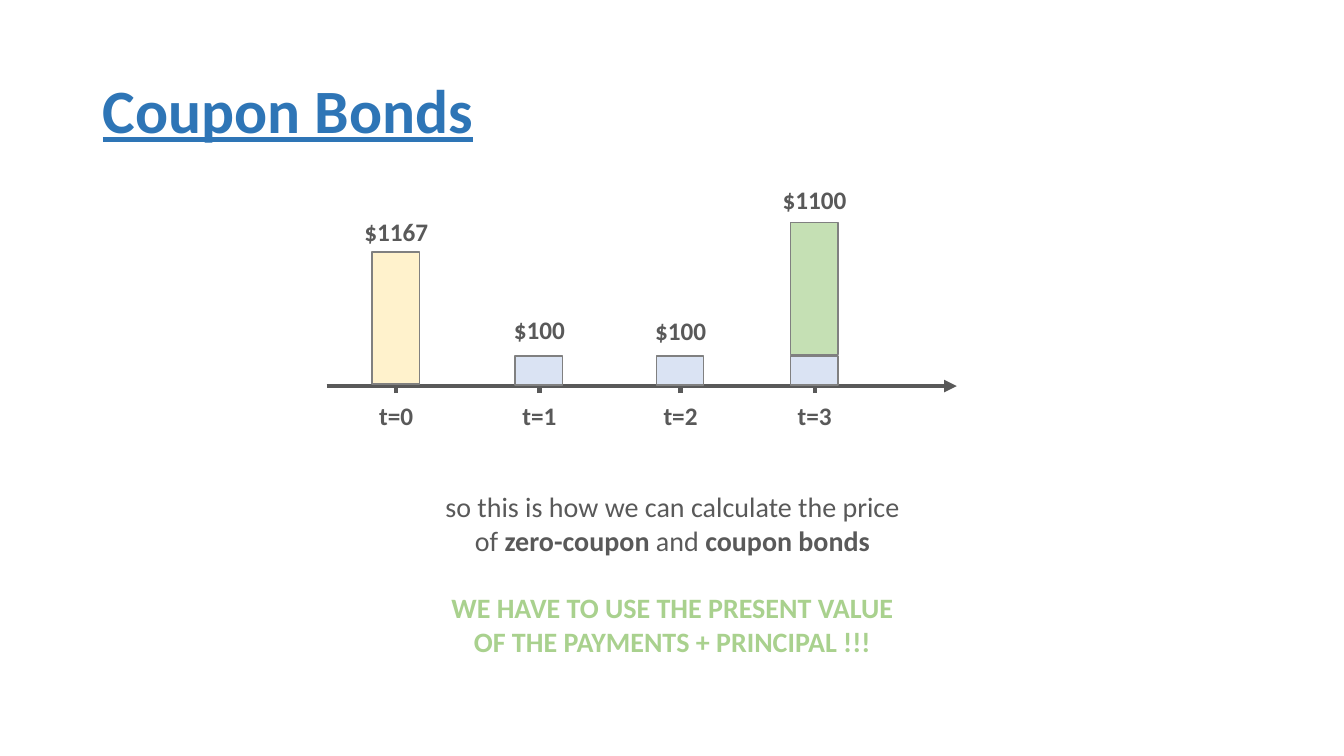
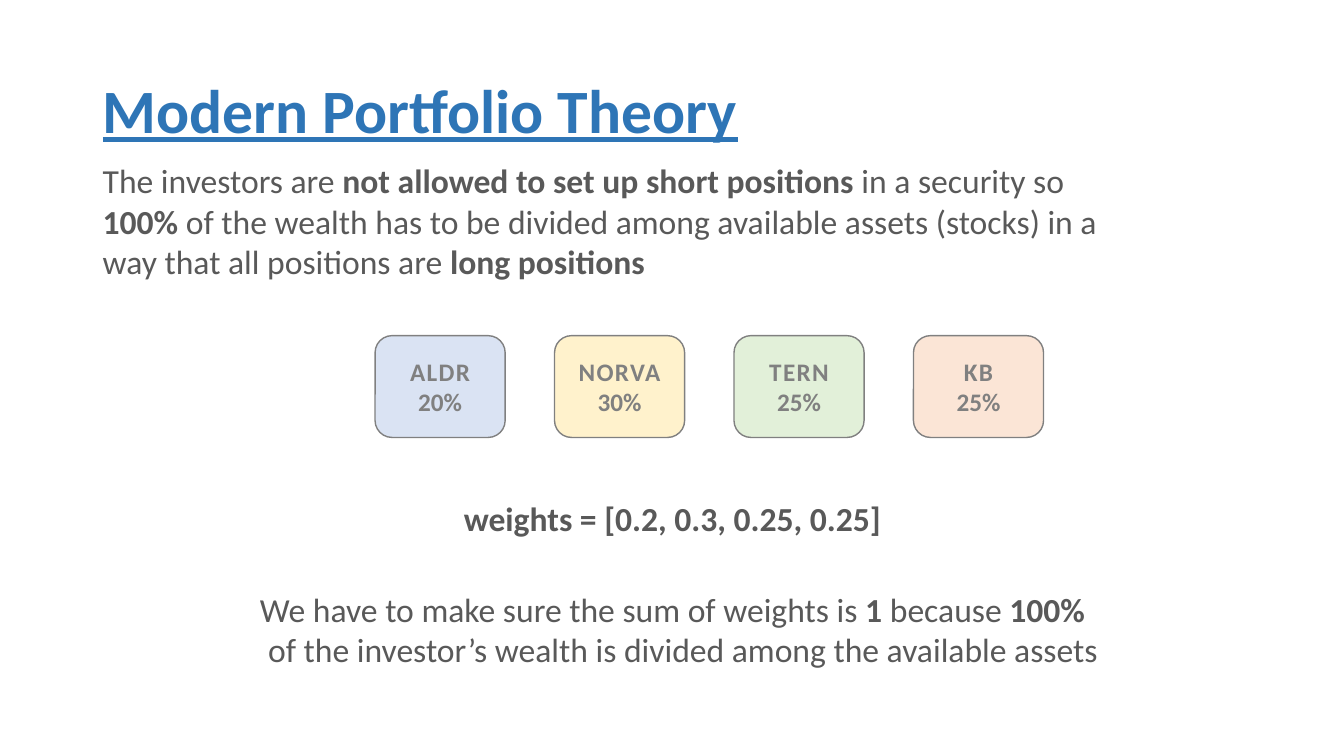
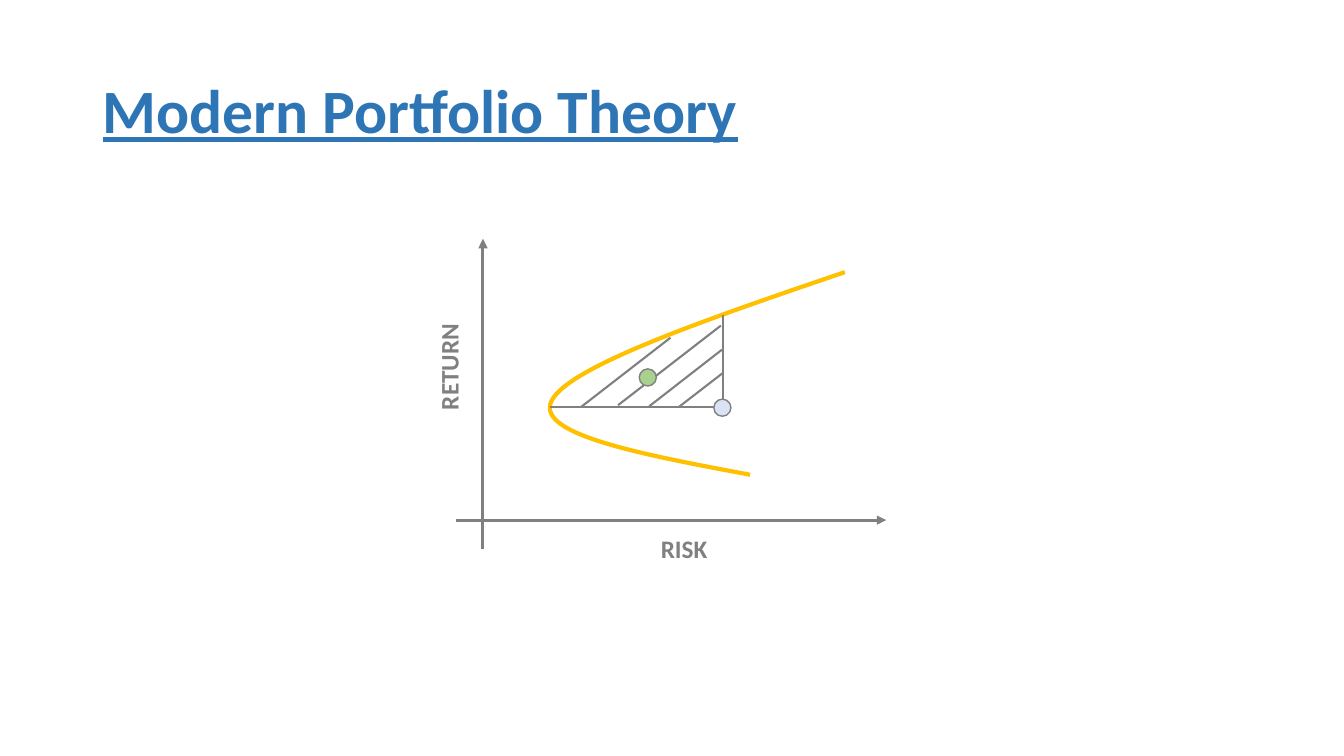
import pptx
import pptx.util
import pptx.dml.color
import pptx.enum.shapes
import pptx.enum.text
import pptx.oxml.ns
import lxml.etree

Inches = pptx.util.Inches
Pt = pptx.util.Pt
RGBColor = pptx.dml.color.RGBColor
Shape = pptx.enum.shapes.MSO_SHAPE
Align = pptx.enum.text.PP_ALIGN
Anchor = pptx.enum.text.MSO_ANCHOR
qn = pptx.oxml.ns.qn

FONT = "Calibri"
TITLE_BLUE = RGBColor(0x2E, 0x75, 0xB6)
DARK_GRAY = RGBColor(0x59, 0x59, 0x59)
GRAY = RGBColor(0x80, 0x80, 0x80)
PALE_BLUE = RGBColor(0xDA, 0xE3, 0xF3)
PALE_YELLOW = RGBColor(0xFF, 0xF2, 0xCC)
PALE_GREEN = RGBColor(0xE2, 0xF0, 0xD9)
PALE_ORANGE = RGBColor(0xFB, 0xE5, 0xD6)
LIGHT_GREEN = RGBColor(0xC5, 0xE0, 0xB4)
GREEN = RGBColor(0xA9, 0xD1, 0x8E)
GOLD = RGBColor(0xFF, 0xC0, 0x00)


def add_text(page, left, top, width, height, lines, size, color, align=Align.CENTER):
    box = page.shapes.add_textbox(Inches(left), Inches(top), Inches(width), Inches(height))
    frame = box.text_frame
    frame.word_wrap = len(lines) > 1
    for number, line in enumerate(lines):
        para = frame.add_paragraph() if number else frame.paragraphs[0]
        para.alignment = align
        para.font.name = FONT
        para.font.size = Pt(size)
        para.font.color.rgb = color
        for index, part in enumerate(line.split("**")):
            if part:
                span = para.add_run()
                span.text = part
                span.font.bold = index % 2 == 1
    return box


def add_line(page, start, end, color, weight, arrow=False):
    line = page.shapes.add_connector(
        pptx.enum.shapes.MSO_CONNECTOR.STRAIGHT, *[Inches(value) for value in start + end])
    line.line.color.rgb = color
    line.line.width = Pt(weight)
    if arrow:
        lxml.etree.SubElement(line.line._get_or_add_ln(), qn("a:tailEnd"), type="triangle")
    lxml.etree.SubElement(line._element.spPr, qn("a:effectLst"))


deck = pptx.Presentation()
deck.slide_width = Inches(13.33)
deck.slide_height = Inches(7.5)

pages = []
for heading in ["Coupon Bonds", "Modern Portfolio Theory", "Modern Portfolio Theory"]:
    page = deck.slides.add_slide(deck.slide_layouts[5])
    title = page.shapes.title
    title.left, title.top = Inches(0.92), Inches(0.4)
    title.width, title.height = Inches(11.5), Inches(1.45)
    title.text_frame.text = heading
    title.text_frame.vertical_anchor = Anchor.MIDDLE
    para = title.text_frame.paragraphs[0]
    para.alignment = Align.LEFT
    para.line_spacing = 0.9
    para.font.name = FONT
    para.font.size = Pt(44)
    para.font.bold = True
    para.font.underline = True
    para.font.color.rgb = TITLE_BLUE
    pages.append(page)
bond_page, weights_page, frontier_page = pages

add_line(bond_page, (3.24, 3.83), (9.49, 3.83), DARK_GRAY, 3, arrow=True)
coupon = (3.53, 0.29, PALE_BLUE)
payments = [
    (3.93, "$1167", 2.1, [(2.5, 1.31, PALE_YELLOW)]),
    (5.35, "$100", 3.07, [coupon]),
    (6.75, "$100", 3.08, [coupon]),
    (8.08, "$1100", 1.78, [(2.21, 1.31, LIGHT_GREEN), coupon]),
]
for year, (center, amount, amount_top, blocks) in enumerate(payments):
    add_line(bond_page, (center, 3.9), (center, 3.78), DARK_GRAY, 3)
    add_text(bond_page, center - 0.27, 3.92, 0.54, 0.4, [f"**t={year}**"], 18, DARK_GRAY)
    add_text(bond_page, center - 0.42, amount_top, 0.84, 0.4, [f"**{amount}**"], 18, DARK_GRAY)
    for top, height, fill in blocks:
        bar = bond_page.shapes.add_shape(
            Shape.RECTANGLE, Inches(center - 0.24), Inches(top), Inches(0.47), Inches(height))
        bar.shadow.inherit = False
        bar.fill.solid()
        bar.fill.fore_color.rgb = fill
        bar.line.color.rgb = GRAY
        bar.line.width = Pt(1)

summary = add_text(bond_page, 4.17, 4.81, 5, 1.8, [
    "so this is how we can calculate the price",
    "of **zero-coupon** and **coupon bonds**",
    "**WE HAVE TO USE THE PRESENT VALUE**",
    "**OF THE PAYMENTS + PRINCIPAL !!!**",
], 20, DARK_GRAY)
for para in summary.text_frame.paragraphs[2:]:
    para.font.color.rgb = GREEN
summary.text_frame.paragraphs[2].space_before = Pt(24)

add_text(weights_page, 0.92, 1.54, 10.5, 1.31, [
    "The investors are **not allowed to set up short positions** in a security so",
    "**100%** of the wealth has to be divided among available assets (stocks) in a",
    "way that all positions are **long positions**",
], 24, DARK_GRAY, Align.LEFT)
add_text(weights_page, 4.48, 4.89, 4.38, 0.5,
         ["**weights = [0.2, 0.3, 0.25, 0.25]**"], 24, DARK_GRAY)
conclusion = add_text(weights_page, 2.17, 5.79, 9, 0.91, [
    "We have to make sure the sum of weights is **1** because **100%**",
    "of the investor’s wealth is divided among the available assets",
], 24, DARK_GRAY)
conclusion.text_frame.paragraphs[1]._p.get_or_add_pPr().set("marL", str(Inches(0.21)))

stocks = [
    ("ALDR", "20%", PALE_BLUE),
    ("NORVA", "30%", PALE_YELLOW),
    ("TERN", "25%", PALE_GREEN),
    ("KB", "25%", PALE_ORANGE),
]
for column, (ticker, weight, fill) in enumerate(stocks):
    card = weights_page.shapes.add_shape(
        Shape.ROUNDED_RECTANGLE, Inches(3.72 + 1.78 * column), Inches(3.33), Inches(1.29), Inches(1.01))
    card.shadow.inherit = False
    card.fill.solid()
    card.fill.fore_color.rgb = fill
    card.line.color.rgb = GRAY
    card.line.width = Pt(1)
    card.text_frame.vertical_anchor = Anchor.MIDDLE
    card.text_frame.text = f"{ticker}\n{weight}"
    for para in card.text_frame.paragraphs:
        para.alignment = Align.CENTER
        para.font.name = FONT
        para.font.size = Pt(18)
        para.font.bold = True
        para.font.color.rgb = GRAY
    card.text_frame.paragraphs[0].runs[0]._r.get_or_add_rPr().set("spc", "100")

add_line(frontier_page, (4.79, 5.45), (4.79, 2.37), GRAY, 2.25, arrow=True)
add_line(frontier_page, (4.52, 5.16), (8.79, 5.16), GRAY, 2.25, arrow=True)
add_text(frontier_page, 6.45, 5.24, 0.67, 0.4, ["**RISK**"], 18, GRAY)
return_label = add_text(frontier_page, 3.92, 3.44, 1.06, 0.4, ["**RETURN**"], 18, GRAY)
return_label.rotation = 270

curves = [
    ((8.38, 2.7), (7, 3.17), (5.63, 3.64), (5.47, 3.98)),
    ((5.47, 3.98), (5.31, 4.31), (6.37, 4.51), (7.44, 4.71)),
]
steps = 40
points = []
for curve in curves:
    for step in range(steps + 1):
        t = step / steps
        factors = ((1 - t) ** 3, 3 * t * (1 - t) ** 2, 3 * t ** 2 * (1 - t), t ** 3)
        points.append(tuple(
            Inches(sum(factor * point[axis] for factor, point in zip(factors, curve)))
            for axis in (0, 1)))
builder = frontier_page.shapes.build_freeform(*points[0])
builder.add_line_segments(points[1:], close=False)
frontier = builder.convert_to_shape()
frontier.shadow.inherit = False
frontier.fill.background()
frontier.line.color.rgb = GOLD
frontier.line.width = Pt(3)

region_lines = [
    ((7.17, 3.96), (7.17, 3.13)),
    ((7.08, 4.04), (5.46, 4.04)),
    ((6.73, 4.04), (7.17, 3.7)),
    ((6.44, 4.03), (7.16, 3.47)),
    ((6.13, 4.02), (7.15, 3.23)),
    ((5.76, 4.04), (6.65, 3.35)),
]
for start, end in region_lines:
    add_line(frontier_page, start, end, GRAY, 1.5)

for left, top, fill in [(7.08, 3.96, PALE_BLUE), (6.34, 3.66, GREEN)]:
    portfolio = frontier_page.shapes.add_shape(
        Shape.OVAL, Inches(left), Inches(top), Inches(0.17), Inches(0.17))
    portfolio.shadow.inherit = False
    portfolio.fill.solid()
    portfolio.fill.fore_color.rgb = fill
    portfolio.line.color.rgb = GRAY
    portfolio.line.width = Pt(1)

deck.save("out.pptx")
